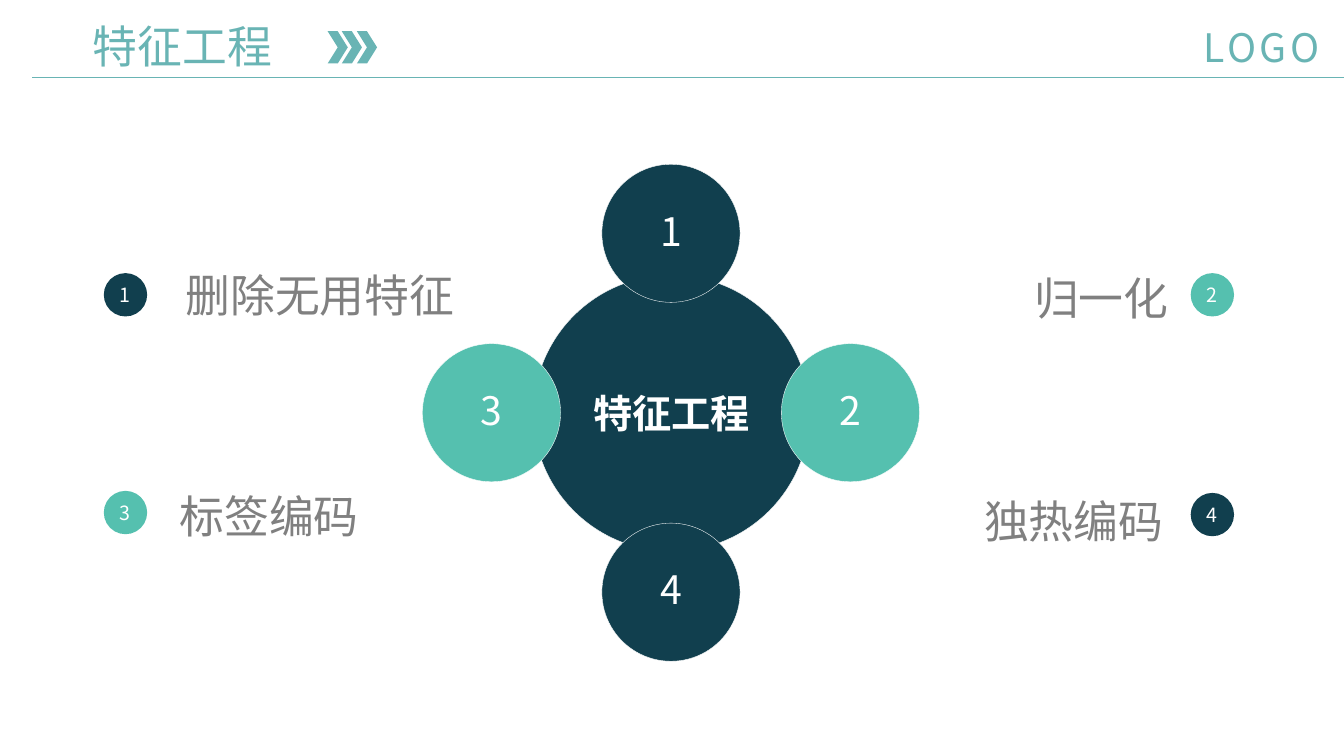
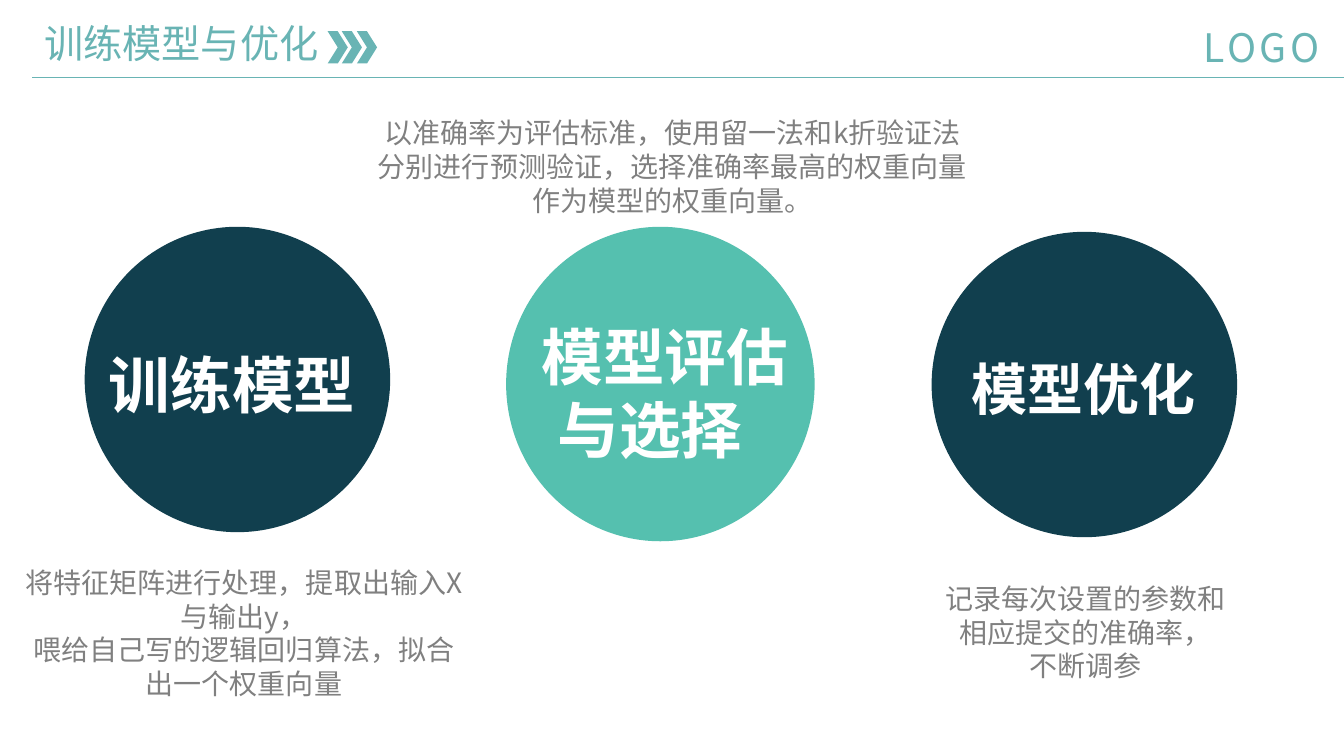
from lxml.etree import SubElement
from pptx import Presentation
from pptx.dml.color import RGBColor
from pptx.enum.shapes import MSO_CONNECTOR as Connector, MSO_SHAPE as Preset
from pptx.enum.text import MSO_ANCHOR as Anchor, PP_ALIGN as Align
from pptx.oxml.ns import qn
from pptx.util import Emu, Pt

EMU_PER_PX = 9144
SLIDE_WIDTH, SLIDE_HEIGHT = 1333, 750
CHEVRON_LEFT = 325
FONT = "Noto Sans CJK SC"
ACCENT = RGBColor(0x69, 0xB4, 0xB4)
NAVY = RGBColor(0x11, 0x3F, 0x4E)
TEAL = RGBColor(0x55, 0xC0, 0xAF)
GRAY = RGBColor(0x80, 0x80, 0x80)
WHITE = RGBColor(0xFF, 0xFF, 0xFF)


def px(*lengths):
    """Turn pixel lengths into a list of EMU lengths."""
    return [Emu(length * EMU_PER_PX) for length in lengths]


def write_text(shape, text, size=20, color=GRAY, bold=False, align=Align.LEFT,
               anchor=Anchor.TOP, line_spacing=None, tracking=0, indents=()):
    """Fill a shape with one paragraph per line of text."""
    frame = shape.text_frame
    frame.word_wrap = True
    frame.vertical_anchor = anchor
    frame.margin_left = frame.margin_right = frame.margin_top = frame.margin_bottom = 0
    for index, line in enumerate(text.split("\n")):
        paragraph = frame.add_paragraph() if index else frame.paragraphs[0]
        paragraph.alignment = align
        if line_spacing:
            paragraph.line_spacing = line_spacing
        if index < len(indents):
            properties = paragraph._p.get_or_add_pPr()
            properties.set("marL", str(indents[index] * EMU_PER_PX))
            properties.set("indent", "0")
        run = paragraph.add_run()
        run.text = line
        run.font.size = Pt(size)
        run.font.bold = bold
        run.font.color.rgb = color
        run.font.name = FONT
        run_properties = run._r.get_or_add_rPr()
        SubElement(run_properties, qn("a:ea")).set("typeface", FONT)
        if tracking:
            run_properties.set("spc", str(tracking))


def add_text(slide, box, text, **text_format):
    """Place a text box without insets."""
    write_text(slide.shapes.add_textbox(*px(*box)), text, **text_format)


def add_figure(slide, preset, box, fill, outline=None):
    """Place a flat preset shape, with a hairline if an outline is given."""
    shape = slide.shapes.add_shape(preset, *px(*box))
    shape.shadow.inherit = False
    shape.fill.solid()
    shape.fill.fore_color.rgb = fill
    if outline is None:
        shape.line.fill.background()
    else:
        shape.line.color.rgb = outline
        shape.line.width = Pt(0.25)
    return shape


def add_disc(slide, box, fill, text, outline=None, **text_format):
    """Place a circle with centred white text."""
    disc = add_figure(slide, Preset.OVAL, box, fill, outline)
    write_text(disc, text, color=WHITE, align=Align.CENTER,
               anchor=Anchor.MIDDLE, **text_format)


def add_header(slide, title, left, size):
    """Draw the title, chevrons, logo word and rule shared by the slides."""
    rule = slide.shapes.add_connector(Connector.STRAIGHT, *px(32, 77, SLIDE_WIDTH, 77))
    rule.line.color.rgb = ACCENT
    rule.line.width = Pt(0.5)
    SubElement(rule._element.spPr, qn("a:effectLst"))
    add_text(slide, (left, 19, CHEVRON_LEFT - left, 54), title, size=size, color=ACCENT)
    for index in range(3):
        chevron_left = CHEVRON_LEFT + index * 29 // 2
        add_figure(slide, Preset.CHEVRON, (chevron_left, 31, 20, 32), ACCENT)
    add_text(slide, (1194, 23, 138, 47), "LOGO", size=28, color=ACCENT, tracking=250)


def add_hub(slide, box, title):
    """Draw a large circle with four numbered circles on its rim."""
    left, top, diameter = box
    add_disc(slide, (left, top, diameter, diameter), NAVY, title,
             outline=WHITE, size=28, bold=True)
    satellite, orbit = diameter // 2, 178
    start = (diameter - satellite) // 2
    directions = [(0, -1, NAVY), (1, 0, TEAL), (-1, 0, TEAL), (0, 1, NAVY)]
    for number, (across, down, fill) in enumerate(directions, 1):
        corner = (left + start + across * orbit, top + start + down * orbit)
        add_disc(slide, (*corner, satellite, satellite), fill, str(number),
                 outline=WHITE, size=28, line_spacing=0.9)


def add_legend_item(slide, corner, number, fill, label, offset, align):
    """Draw a small numbered circle with its label beside it."""
    left, top = corner
    badge, width = 43, 312
    across, down = offset
    label_left = left + across - (width if align == Align.RIGHT else 0)
    add_disc(slide, (left, top, badge, badge), fill, number, size=14)
    add_text(slide, (label_left, top + down, width, 54), label, size=32, align=align)


def add_stage(slide, box, fill, label, label_offset, size, indents=()):
    """Draw a large circle with a bold label placed inside it."""
    left, top, width, height = box
    across, down = label_offset
    add_figure(slide, Preset.OVAL, box, fill)
    add_text(slide, (left + across, top + down, width - across, height - 2 * down),
             label, size=size, color=WHITE, bold=True, indents=indents)


def build_feature_slide(slide):
    """Build the feature engineering slide."""
    add_header(slide, "特征工程", 92, 32)
    add_hub(slide, (529, 273, 274), "特征工程")
    for item in [
        ((103, 271), "1", NAVY, "删除无用特征", (81, -5), Align.LEFT),
        ((103, 487), "3", TEAL, "标签编码", (75, -2), Align.LEFT),
        ((1181, 271), "2", TEAL, "归一化", (-22, -2), Align.RIGHT),
        ((1181, 489), "4", NAVY, "独热编码", (-27, 1), Align.RIGHT),
    ]:
        add_legend_item(slide, *item)


def build_training_slide(slide):
    """Build the training and optimisation slide."""
    add_header(slide, "训练模型与优化", 44, 28)
    add_stage(slide, (84, 225, 303, 303), NAVY, "训练模型", (24, 119), 44)
    add_stage(slide, (502, 225, 306, 312), TEAL, "模型评估\n与选择", (35, 91), 44, (0, 16))
    add_stage(slide, (924, 230, 303, 303), NAVY, "模型优化", (40, 122), 40)
    for box, text in [
        ((21, 561, 442, 135),
         "将特征矩阵进行处理，提取出输入X与输出y，\n喂给自己写的逻辑回归算法，拟合出一个权重向量"),
        ((372, 115, 590, 101),
         "以准确率为评估标准，使用留一法和k折验证法\n"
         "分别进行预测验证，选择准确率最高的权重向量作为模型的权重向量。"),
        ((931, 577, 291, 101), "记录每次设置的参数和\n相应提交的准确率，\n不断调参"),
    ]:
        add_text(slide, box, text, align=Align.CENTER)


def main():
    """Build and save the presentation."""
    presentation = Presentation()
    presentation.slide_width, presentation.slide_height = px(SLIDE_WIDTH, SLIDE_HEIGHT)
    blank = presentation.slide_layouts[6]
    for build in (build_feature_slide, build_training_slide):
        build(presentation.slides.add_slide(blank))
    presentation.save("out.pptx")


if __name__ == "__main__":
    main()
